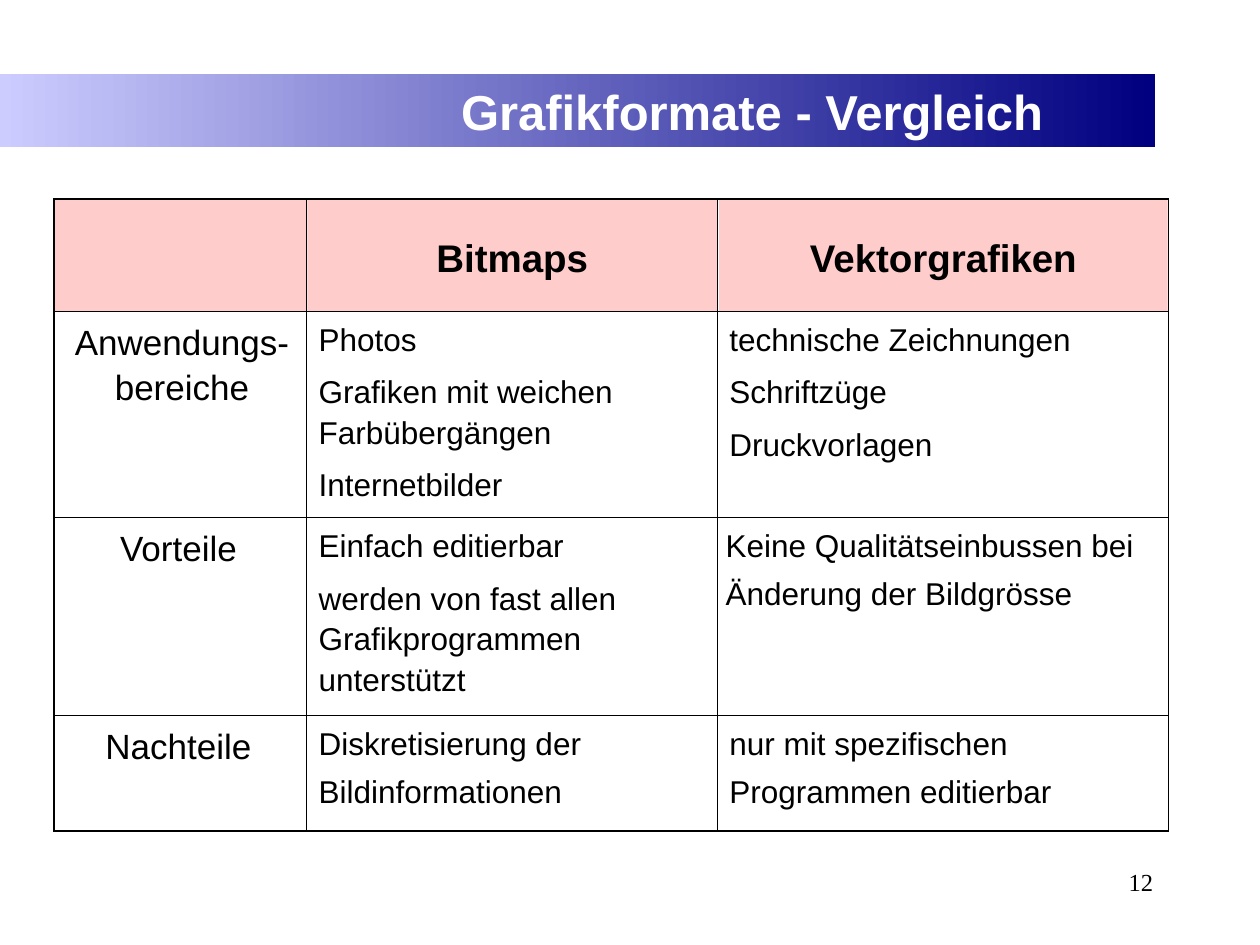
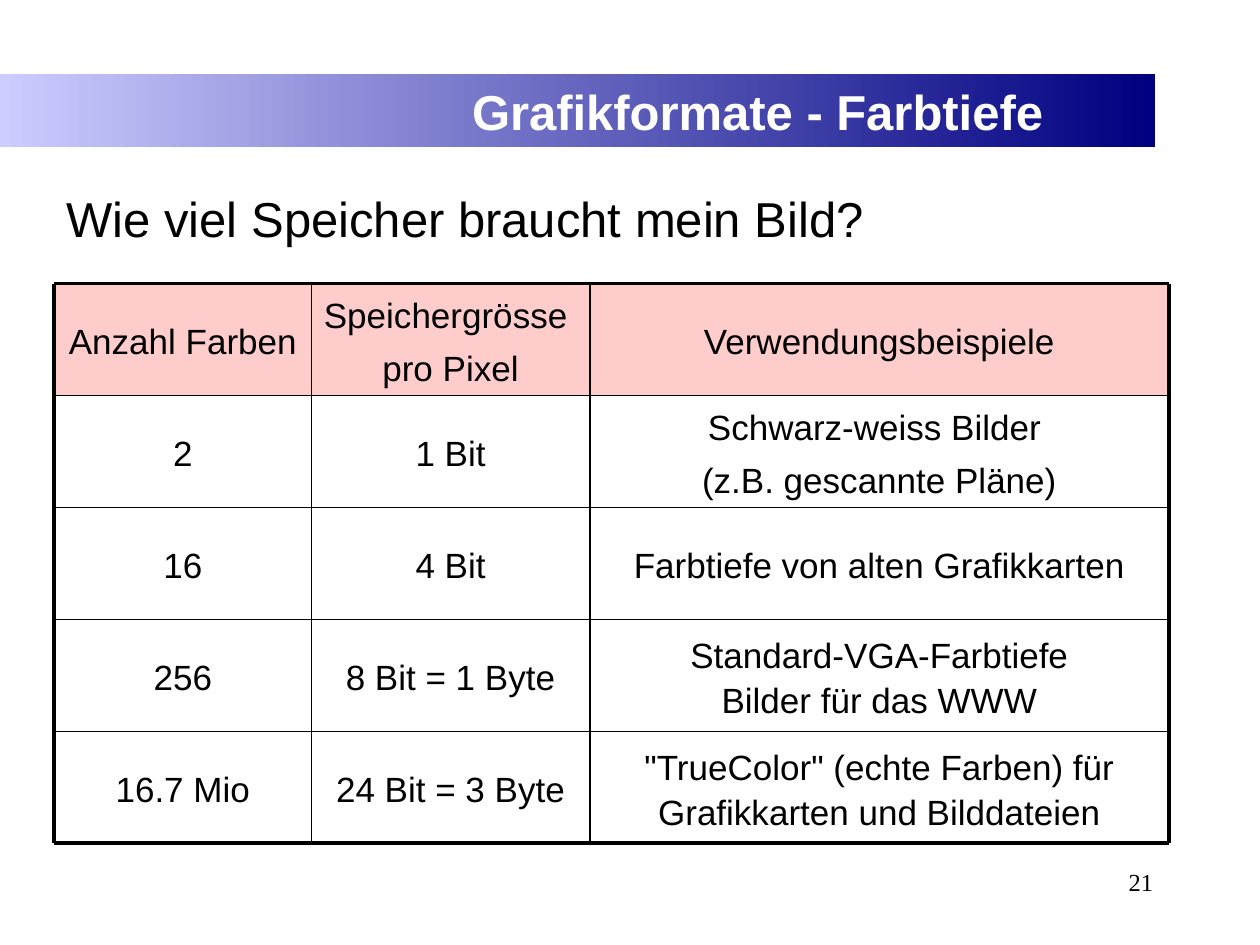
from itertools import accumulate

from lxml.etree import SubElement
from pptx import Presentation
from pptx.dml.color import RGBColor
from pptx.enum.shapes import MSO_CONNECTOR, MSO_SHAPE
from pptx.enum.text import MSO_ANCHOR, PP_ALIGN
from pptx.oxml.ns import qn
from pptx.util import Pt

COLORS = {
    "text": "000000",
    "title": "FFFFFF",
    "band_light": "CCCCFF",
    "band_dark": "000080",
    "header": "FFCCCC",
    "rule": "000000",
}
TABLE_LEFT = 31

# Text styles of the cells
CELL = dict(spacing=1.07)
HEADER = dict(CELL, size=22, bold=True, align=PP_ALIGN.CENTER)
LABEL = dict(CELL, size=20, align=PP_ALIGN.CENTER)
ITEMS = dict(CELL, size=18, gap=6.8)
LOOSE = dict(CELL, size=18, tail=22)  # larger last space opens the last line
CENTERED = dict(LABEL, gap=5)


def rgb(name):
    return RGBColor.from_string(COLORS[name])


def add_run(p, text, size, color, font, bold):
    r = p.add_run()
    r.text = text
    r.font.name, r.font.size, r.font.bold = font, Pt(size), bold
    r.font.color.rgb = rgb(color)


def write(tf, lines, size, color="text", font="Arial", bold=False,
          align=PP_ALIGN.LEFT, gap=0, spacing=None, tail=None):
    tf.word_wrap = True
    for i, line in enumerate(lines):
        p = tf.add_paragraph() if i else tf.paragraphs[0]
        p.alignment = align
        p.space_before = Pt(gap if i else 0)
        if spacing:
            p.line_spacing = spacing
        add_run(p, line, size, color, font, bold)
        if tail:
            add_run(p, " ", tail, color, font, bold)


def add_text(s, box, lines, anchor=MSO_ANCHOR.TOP, **style):
    tf = s.shapes.add_textbox(*map(Pt, box)).text_frame
    tf.vertical_anchor = anchor
    write(tf, lines, **style)


def add_rect(s, box):
    sp = s.shapes.add_shape(MSO_SHAPE.RECTANGLE, *map(Pt, box))
    sp.shadow.inherit = False
    sp.line.fill.background()
    sp.text_frame.vertical_anchor = MSO_ANCHOR.MIDDLE
    return sp


def add_header_cell(s, box, lines, style):
    sp = add_rect(s, box)
    sp.fill.solid()
    sp.fill.fore_color.rgb = rgb("header")
    write(sp.text_frame, lines, **style)


def add_title_band(s, box, title):
    sp = add_rect(s, box)
    sp.fill.gradient()
    sp.fill.gradient_angle = 0
    stops = zip(sp.fill.gradient_stops, ("band_light", "band_dark"), (0, 1))
    for stop, color, position in stops:
        stop.color.rgb = rgb(color)
        stop.position = position
    sp.text_frame.margin_right = Pt(64)
    write(sp.text_frame, [title], 28, color="title", bold=True,
          align=PP_ALIGN.RIGHT)


def set_borders(cell, widths):
    tcPr = cell._tc.get_or_add_tcPr()
    for i, (side, width) in enumerate(zip("LRTB", widths)):
        ln = SubElement(tcPr, qn(f"a:ln{side}"), w=str(Pt(width)))
        fill = SubElement(ln, qn("a:solidFill"))
        SubElement(fill, qn("a:srgbClr"), val=COLORS["rule"])
        tcPr.insert(i, ln)  # borders stand before the cell fill


def add_frame_table(s, left, top, cols, rows, frame, rule):
    """Unfilled table that rules the cells beneath it."""
    size = (left, top, sum(cols), sum(rows))
    tbl = s.shapes.add_table(len(rows), len(cols), *map(Pt, size)).table
    tbl.first_row = tbl.horz_banding = False
    for col, width in zip(tbl.columns, cols):
        col.width = Pt(width)
    for y, height in enumerate(rows):
        tbl.rows[y].height = Pt(height)
        for x in range(len(cols)):
            cell = tbl.cell(y, x)
            cell.fill.background()
            edges = (x == 0, x == len(cols) - 1, y == 0, y == len(rows) - 1)
            set_borders(cell, [frame if edge else rule for edge in edges])


def add_rule(s, x1, y1, x2, y2, width):
    line = s.shapes.add_connector(MSO_CONNECTOR.STRAIGHT,
                                  *map(Pt, (x1, y1, x2, y2)))
    line.line.color.rgb = rgb("rule")
    line.line.width = Pt(width)
    SubElement(line._element.spPr, qn("a:effectLst"))


def add_rules(s, xs, ys, frame, rule):
    for y in ys:
        add_rule(s, xs[0], y, xs[-1], y,
                 frame if y in (ys[0], ys[-1]) else rule)
    for x in xs:
        add_rule(s, x, ys[0], x, ys[-1],
                 frame if x in (xs[0], xs[-1]) else rule)


def add_base(prs, title):
    s = prs.slides.add_slide(prs.slide_layouts[6])
    add_title_band(s, (0, 42.2, 660, 41.8), title)
    return s


def add_page_number(s, number):
    add_text(s, (516, 492, 150, 36), [number], size=14,
             font="Times New Roman", align=PP_ALIGN.RIGHT)


def comparison_slide(prs):
    s = add_base(prs, "Grafikformate - Vergleich")
    top, cols, rows = 113.8, (144, 235, 257.8), (64, 118, 113, 66)

    # Header row
    for x, width, lines in ((TABLE_LEFT, 144.5, []),
                            (175.7, 234, ["Bitmaps"]),
                            (411, 256.3, ["Vektorgrafiken"])):
        add_header_cell(s, (x, top, width, rows[0]), lines, HEADER)

    # Body rows: left edge, style and lines of each cell
    body = [
        [(31, LABEL, ["Anwendungs-bereiche"]),
         (175, ITEMS, ["Photos", "Grafiken mit weichen Farbübergängen",
                       "Internetbilder"]),
         (409.7, ITEMS, ["technische Zeichnungen", "Schriftzüge",
                         "Druckvorlagen"])],
        [(29, LABEL, ["Vorteile"]),
         (175, ITEMS, ["Einfach editierbar",
                       "werden von fast allen Grafikprogrammen unterstützt"]),
         (407.5, LOOSE,
          ["Keine Qualitätseinbussen bei Änderung der Bildgrösse"])],
        [(29, LABEL, ["Nachteile"]),
         (175, LOOSE, ["Diskretisierung der Bildinformationen"]),
         (409.7, LOOSE, ["nur mit spezifischen Programmen editierbar"])],
    ]
    tops = accumulate(rows[:-1], initial=top)
    next(tops)
    heights = ((66, 107, 86), (66, 101, 55), (66, 55, 55))
    for y, line, line_heights in zip(tops, body, heights):
        for (x, style, lines), width, height in zip(
                line, (146, 235, 256), line_heights):
            add_text(s, (x, y, width, height), lines, **style)

    add_frame_table(s, TABLE_LEFT, top, cols, rows, frame=1.08, rule=0.45)
    add_page_number(s, "12")


def color_depth_slide(prs):
    s = add_base(prs, "Grafikformate - Farbtiefe")
    add_text(s, (TABLE_LEFT, 104, 490, 41),
             ["Wie viel Speicher braucht mein Bild?"], size=28)
    cells = [
        [["Anzahl Farben"], ["Speichergrösse ", "pro Pixel"],
         ["Verwendungsbeispiele"]],
        [["2"], ["1 Bit"],
         ["Schwarz-weiss Bilder ", "(z.B. gescannte Pläne)"]],
        [["16"], ["4 Bit"], ["Farbtiefe von alten Grafikkarten"]],
        [["256"], ["8 Bit = 1 Byte"],
         ["Standard-VGA-Farbtiefe", "Bilder für das WWW"]],
        [["16.7 Mio"], ["24 Bit = 3 Byte"],
         ['"TrueColor" (echte Farben) für Grafikkarten und Bilddateien']],
    ]
    cols, row = (147, 159, 331), 64
    xs = list(accumulate(cols, initial=TABLE_LEFT))
    ys = [162 + row * i for i in range(len(cells) + 1)]

    for i, (y, line) in enumerate(zip(ys, cells)):
        for x, width, lines in zip(xs, cols, line):
            box = (x, y, width, row)
            if i == 0:
                add_header_cell(s, box, lines, CENTERED)
            else:
                style = LABEL if i > 2 else CENTERED
                add_text(s, box, lines, anchor=MSO_ANCHOR.MIDDLE, **style)

    add_rules(s, xs, ys, frame=2.25, rule=1)
    add_page_number(s, "21")


def main():
    prs = Presentation()
    prs.slide_width, prs.slide_height = Pt(720), Pt(540)
    comparison_slide(prs)
    color_depth_slide(prs)
    prs.save("out.pptx")


if __name__ == "__main__":
    main()
